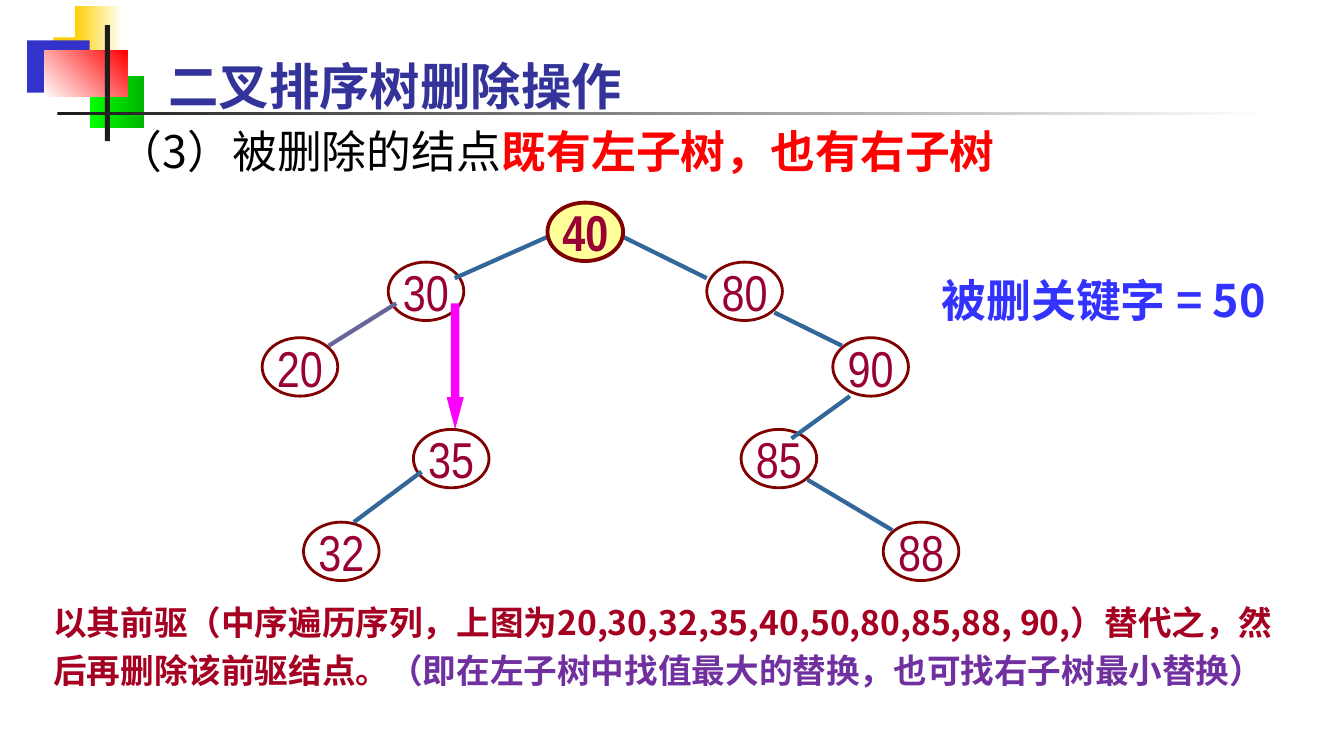
"""Builds a slide on deleting a node with two children from a binary search tree."""
from lxml import etree
from pptx import Presentation
from pptx import util as u
from pptx.dml.color import RGBColor
from pptx.enum import shapes, text
from pptx.oxml.ns import qn

PX = 9144
NARROW, SANS = "Arial Narrow", "Noto Sans CJK SC"
MAROON, BLUE, GREY = "800000", "336699", "666699"
NODE_WIDTH, NODE_HEIGHT = 75, 58

ORNAMENTS = [
    ((53, 37, 64, 52), ["FFCF01"], 0),
    ((74, 6, 48, 52), ["FFCF01", "FFFFFF"], 0),
    ((27, 40, 62, 52), ["3333CC"], 0),
    ((89, 75, 54, 52), ["00FF00", "00B600"], 0),
    ((44, 50, 82, 46), ["FFFFFF", "FF0000"], 45),
    ((104, 25, 5, 115), ["1C1C1C"], 0),
    ((57, 111, 1200, 3), ["1C1C1C", "FFFFFF"], 0),
]
EDGES = [
    ((543, 235), (451, 276), BLUE),
    ((393, 301), (326, 343), GREY),
    ((618, 235), (701, 276), BLUE),
    ((768, 310), (835, 343), BLUE),
    ((843, 393), (785, 435), BLUE),
    ((801, 476), (885, 526), BLUE),
    ((418, 468), (351, 518), BLUE),
]
NODES = {
    "30": (385, 260), "80": (701, 260), "20": (260, 335), "90": (826, 335),
    "85": (735, 426), "35": (410, 426), "88": (876, 518), "32": (301, 518),
}
ROOT = ("40", (543, 201))
REPLACEMENT_ARROW = (443, 301, 17, 125)
TEXTS = [
    ((107, 118, 1020, 64),
     [("（3）被删除的结点", "000000", False), ("既有左子树，也有右子树", "FF0000", True)],
     dict(size=32)),
    ((43, 584, 1233, 107),
     [("以其前驱（中序遍历序列，上图为20,30,32,35,40,50,80,85,88, 90,）替代之，然后再删除该前驱结点。",
       "A50021", True),
      ("（即在左子树中找值最大的替换，也可找右子树最小替换）", "7030A0", True)],
     dict(size=24, spacing=1.2)),
    ((924, 266, 388, 64), [("被删关键字 = 50", "3333FF", True)], dict(size=32)),
    ((157, 37, 1136, 83), [("二叉排序树删除操作", "333399", True)],
     dict(size=36, font=NARROW, anchor=text.MSO_ANCHOR.BOTTOM)),
]


def color(value):
    return RGBColor.from_string(value)


def scaled(lengths):
    return [length * PX for length in lengths]


def write(shape, spans, size, font=SANS, anchor=text.MSO_ANCHOR.TOP,
          align=text.PP_ALIGN.LEFT, wrap=True, spacing=None):
    frame = shape.text_frame
    frame.word_wrap = wrap
    frame.vertical_anchor = anchor
    para = frame.paragraphs[0]
    para.alignment = align
    if spacing:
        para.line_spacing = spacing
    for words, tint, bold in spans:
        span = para.add_run()
        span.text = words
        span.font.size = u.Pt(size)
        span.font.name = font
        span.font.bold = bold
        span.font.color.rgb = color(tint)
        east_asian = etree.SubElement(span.font._element, qn("a:ea"))
        east_asian.set("typeface", SANS)


def add_shape(page, kind, box, fills=(), angle=0, line=None, width=0):
    shape = page.shapes.add_shape(kind, *scaled(box))
    shape.shadow.inherit = False
    if len(fills) == 2:
        shape.fill.gradient()
        shape.fill.gradient_angle = angle
        for stop, tint in zip(shape.fill.gradient_stops, fills):
            stop.color.rgb = color(tint)
    elif fills:
        shape.fill.solid()
        shape.fill.fore_color.rgb = color(fills[0])
    else:
        shape.fill.background()
    if line:
        shape.line.color.rgb = color(line)
        shape.line.width = u.Pt(width)
    else:
        shape.line.fill.background()
    return shape


def add_edge(page, start, end, tint):
    edge = page.shapes.add_connector(shapes.MSO_CONNECTOR.STRAIGHT, *scaled(start + end))
    edge.line.color.rgb = color(tint)
    edge.line.width = u.Pt(3)
    etree.SubElement(edge._element.spPr, qn("a:effectLst"))


def add_node(page, key, place, fills=(), width=2, bold=False):
    node = add_shape(page, shapes.MSO_SHAPE.OVAL, place + (NODE_WIDTH, NODE_HEIGHT),
                     fills, line=MAROON, width=width)
    write(node, [(key, "990033", bold)], size=36, font=NARROW, wrap=False,
          anchor=text.MSO_ANCHOR.MIDDLE, align=text.PP_ALIGN.CENTER)


def main():
    deck = Presentation()
    deck.slide_width, deck.slide_height = scaled((1333, 750))
    page = deck.slides.add_slide(deck.slide_layouts[6])
    for box, fills, angle in ORNAMENTS:
        add_shape(page, shapes.MSO_SHAPE.RECTANGLE, box, fills, angle)
    for key, place in NODES.items():
        add_node(page, key, place)
    for start, end, tint in EDGES:
        add_edge(page, start, end, tint)
    add_node(page, *ROOT, fills=["FFFF99"], width=2.75, bold=True)
    arrow = add_shape(page, shapes.MSO_SHAPE.DOWN_ARROW, REPLACEMENT_ARROW, ["FF00FF"])
    arrow.adjustments[0], arrow.adjustments[1] = 0.5, 1.88
    for box, spans, style in TEXTS:
        write(page.shapes.add_textbox(*scaled(box)), spans, **style)
    deck.save("out.pptx")


if __name__ == "__main__":
    main()
